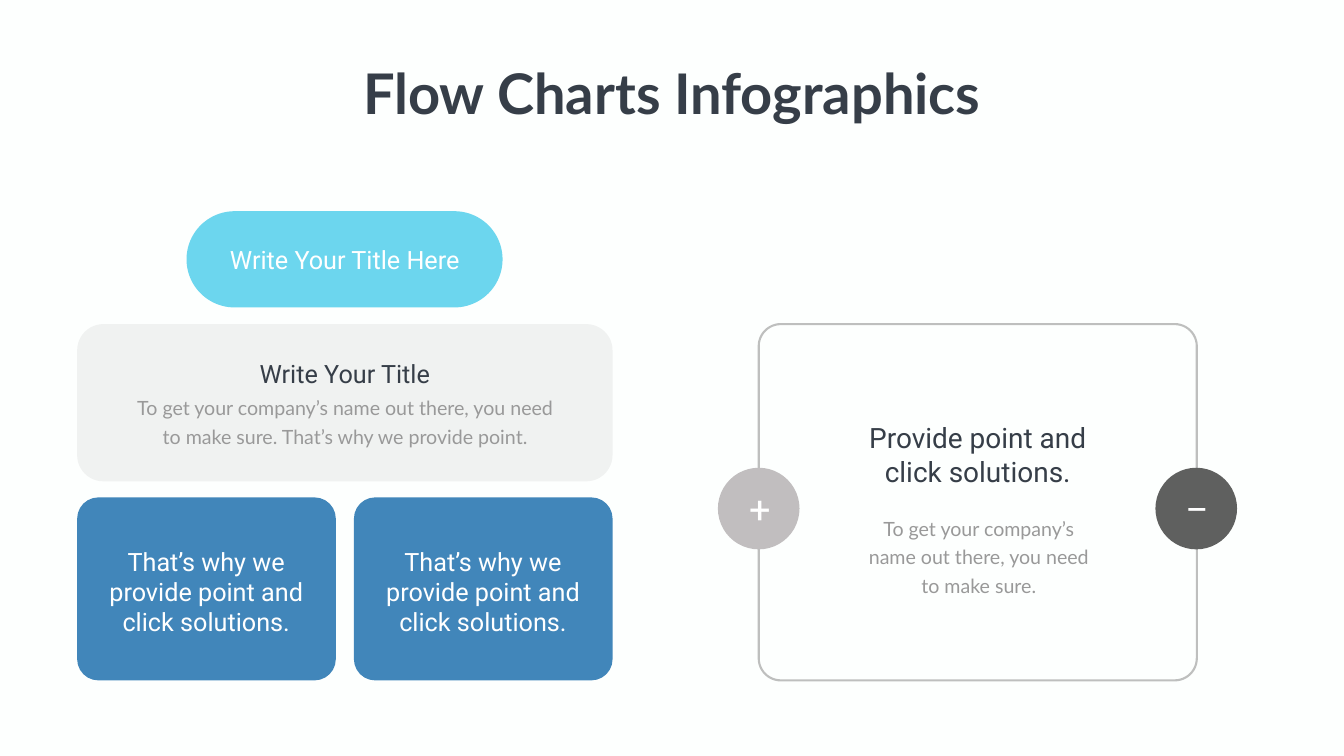
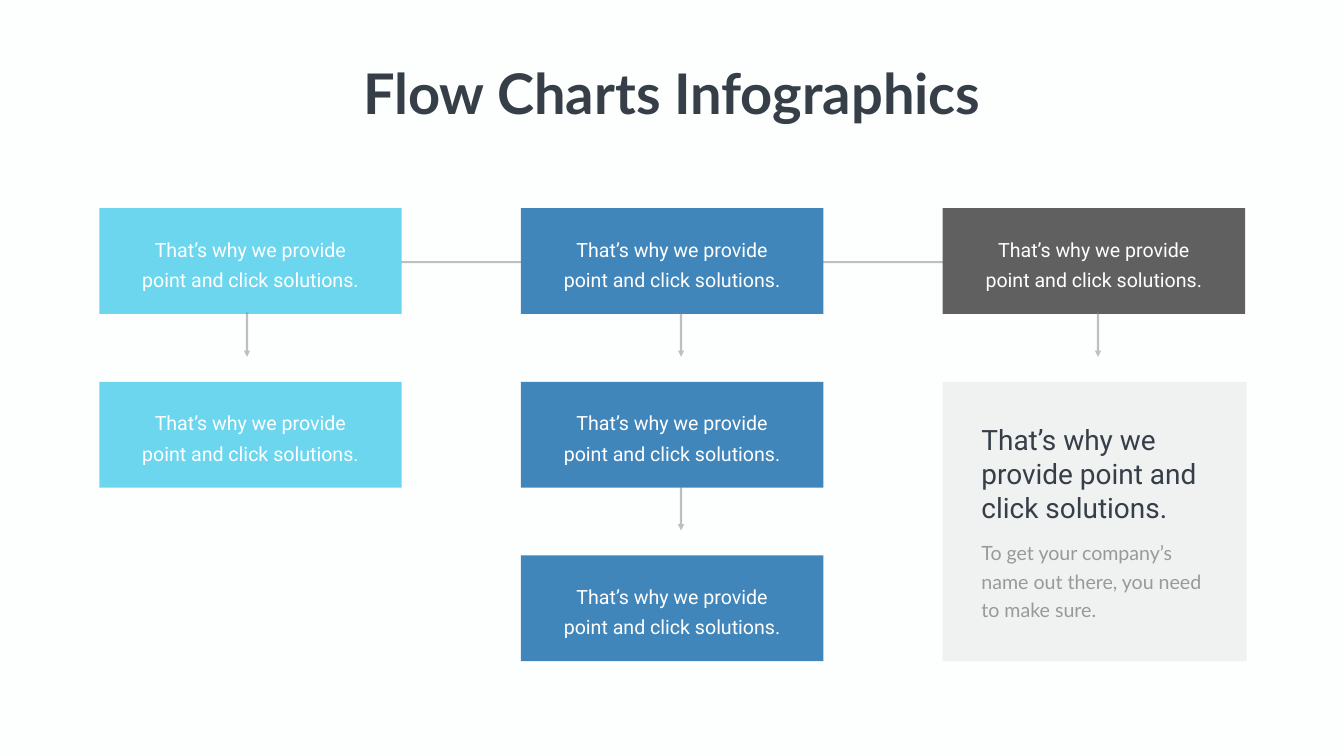
from lxml import etree
from pptx import Presentation
from pptx.dml.color import RGBColor
from pptx.enum import shapes, text
from pptx.oxml.ns import qn
from pptx.util import Pt

BACKGROUND = "FDFFFE"
DARK = "363E48"
MUTED = "999999"
GRAY = "808080"
CHARCOAL = "5F605F"
SILVER = "C1BEBF"
CYAN = "6CD6EE"
BLUE = "4186BA"
WHITE = "FFFFFF"
HEAD_FONT, BODY_FONT = "Roboto", "Lato"

RECT = shapes.MSO_SHAPE.RECTANGLE
ROUND = shapes.MSO_SHAPE.ROUNDED_RECTANGLE
OVAL = shapes.MSO_SHAPE.OVAL

POINT = "That’s why we provide point and click solutions."
COMPANY = "To get your company’s name out there, you need to make sure."


def color(hex_code):
    return RGBColor.from_string(hex_code)


def set_opacity(fill, percent):
    """Make a solid fill partly transparent."""
    clr = fill._xPr.find(qn("a:solidFill"))[0]
    etree.SubElement(clr, qn("a:alpha")).set("val", str(percent * 1000))


def style_line(line):
    line.width = Pt(3)
    line.color.rgb = color(GRAY)
    set_opacity(line.fill, 50)


def add_panel(s, kind, x, y, w, h, fill=None, opacity=100, radius=None):
    """Add a filled shape, or a gray outlined one if there is no fill."""
    sp = s.shapes.add_shape(kind, Pt(x), Pt(y), Pt(w), Pt(h))
    sp.shadow.inherit = False
    if radius is not None:
        sp.adjustments[0] = radius
    if fill is None:
        sp.fill.background()
        style_line(sp.line)
        return
    sp.fill.solid()
    sp.fill.fore_color.rgb = color(fill)
    sp.line.fill.background()
    if opacity < 100:
        set_opacity(sp.fill, opacity)


def add_text(s, words, x, y, w, h, size, fill=WHITE, font=HEAD_FONT, bold=False,
             align=text.PP_ALIGN.CENTER, spacing=None, wrap=True):
    tf = s.shapes.add_textbox(Pt(x), Pt(y), Pt(w), Pt(h)).text_frame
    tf.word_wrap = wrap
    tf.auto_size = text.MSO_AUTO_SIZE.SHAPE_TO_FIT_TEXT
    p = tf.paragraphs[0]
    p.text = words
    p.alignment = align
    if spacing:
        p.line_spacing = Pt(spacing)
    p.font.name = font
    p.font.size = Pt(size)
    p.font.bold = bold
    p.font.color.rgb = color(fill)


def add_body(s, words, x, y, w, h, align=text.PP_ALIGN.CENTER):
    add_text(s, words, x, y, w, h, 28, MUTED, BODY_FONT, align=align, spacing=40.8)


def add_line(s, x1, y1, x2, y2, arrow=False):
    line = s.shapes.add_connector(shapes.MSO_CONNECTOR.STRAIGHT,
                                  Pt(x1), Pt(y1), Pt(x2), Pt(y2))
    style_line(line.line)
    if arrow:
        ln = line.line._get_or_add_ln()
        etree.SubElement(ln, qn("a:tailEnd")).set("type", "triangle")
    etree.SubElement(line._element.spPr, qn("a:effectLst"))


def add_slide(prs):
    """Add a slide with the shared background and title."""
    s = prs.slides.add_slide(prs.slide_layouts[6])
    s.background.fill.solid()
    s.background.fill.fore_color.rgb = color(BACKGROUND)
    add_text(s, "Flow Charts Infographics", 502.6, 80.6, 914.4, 104.4, 80,
             DARK, BODY_FONT, bold=True, wrap=False)
    return s


def add_badge(s, x, fill):
    add_panel(s, OVAL, x, 668.2, 116.6, 116.6, fill)


def build_stack(prs):
    s = add_slide(prs)
    left, top = 110.2, 463

    add_panel(s, ROUND, 266.4, 301.7, 451.4, 137.5, CYAN, radius=0.5)
    add_text(s, "Write Your Title Here", 308.9, 344.9, 367.2, 51.1, 36)

    add_panel(s, ROUND, left, top, 764.6, 224.6, GRAY, opacity=10)
    add_body(s, "To get your company’s name out there, you need to make sure. "
             "That’s why we provide point.", 185, 555.1, 615.6, 85.7)
    add_text(s, "Write Your Title", 286.6, 508.3, 411.8, 51.1, 36, DARK)

    for col in range(2):
        x = left + col * 395.3
        add_panel(s, ROUND, x, 710.6, 369.4, 261.4, BLUE, radius=0.116)
        add_text(s, POINT, x + 31.7, 776.2, 305.3, 138.2, 36)

    add_panel(s, ROUND, 1083.6, top, 625.7, 509, radius=0.062)
    add_badge(s, 1025.3, SILVER)
    add_text(s, "+", 1008.7, 689.8, 153.4, 72.7, 54)
    add_badge(s, 1650.2, CHARCOAL)
    add_text(s, "_", 1674.7, 668.2, 69.1, 72.7, 54)
    add_text(s, "Provide point and click solutions.",
             1217.5, 597.6, 357.8, 104.4, 40, DARK)
    add_body(s, COMPANY, 1219.7, 727.2, 356.4, 127.4)


def build_columns(prs):
    s = add_slide(prs)
    left, top, col_step, row_step = 141.8, 297.4, 602.3, 248
    add_line(s, 440.6, 374.4, 1517.8, 374.4)

    for col, (fill, count) in enumerate([(CYAN, 2), (BLUE, 3), (CHARCOAL, 1)]):
        x = left + col * col_step
        for row in range(count):
            y = top + row * row_step
            add_panel(s, RECT, x, y, 432, 151.2, fill)
            add_text(s, POINT, x + 42.5, y + 29.3, 346.3, 90, 28, spacing=43)

    note_x, note_y = left + 2 * col_step, top + row_step
    text_x = note_x + 48.2
    add_panel(s, RECT, note_x, note_y, 434.2, 399.6, GRAY, opacity=10)
    add_body(s, COMPANY, text_x, 762.5, 356.4, 127.4, text.PP_ALIGN.LEFT)
    add_text(s, POINT, text_x, 600.5, 356.4, 152.6, 40, DARK,
             align=text.PP_ALIGN.LEFT)

    for x, row in [(352.8, 0), (1568.2, 0), (972.7, 0), (972.7, 1)]:
        y = 446.4 + row * row_step
        add_line(s, x, y, x, y + 63.4, arrow=True)


def main():
    prs = Presentation()
    prs.slide_width, prs.slide_height = Pt(1919.5), Pt(1080)
    build_stack(prs)
    build_columns(prs)
    prs.save("out.pptx")


if __name__ == "__main__":
    main()
